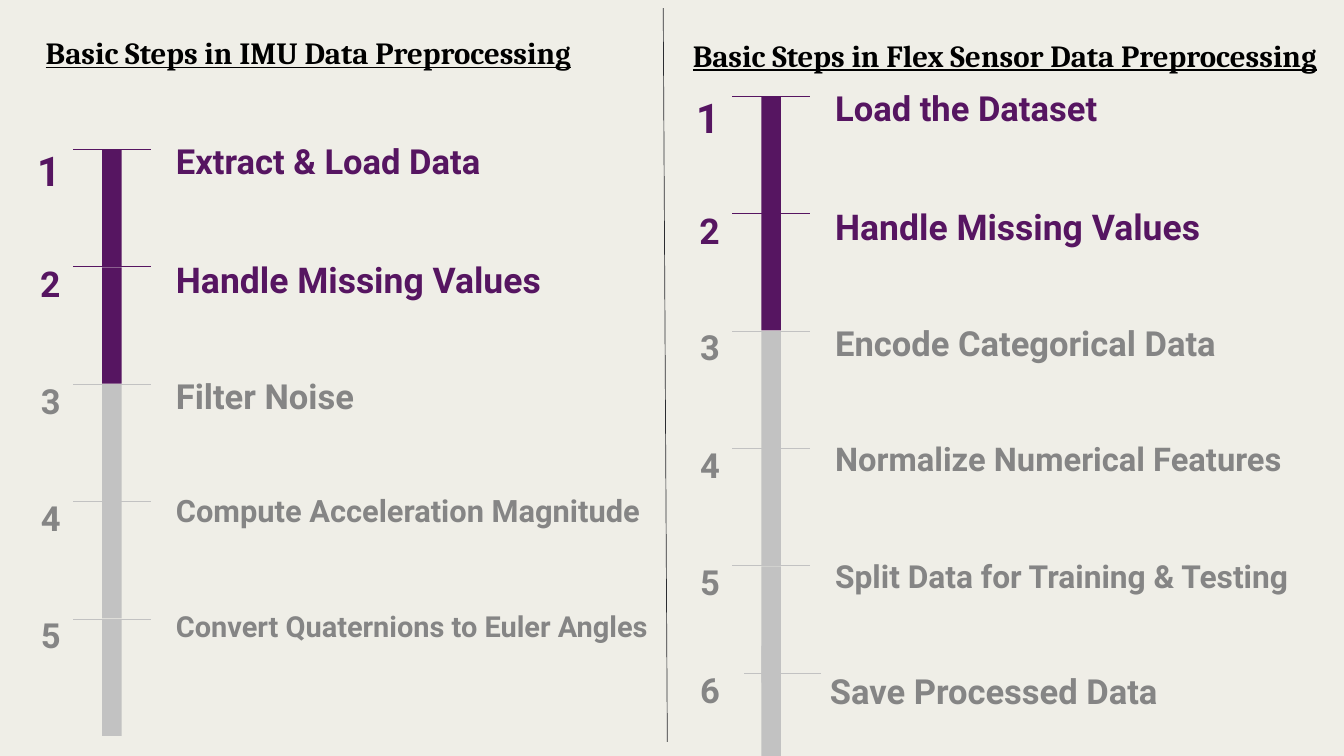
import pptx
import pptx.dml.color
import pptx.enum.shapes
import pptx.enum.text
import pptx.oxml.ns
import pptx.util
from lxml import etree

Pt = pptx.util.Pt
ALIGN = pptx.enum.text.PP_ALIGN

PURPLE, SILVER, GRAY = "561561", "C2C2C2", "858585"
PITCH = 125.8

IMU_STEPS = [
    ("Extract & Load Data", 37, 44, 427.7),
    ("Handle Missing Values", 38, 38, 427.7),
    ("Filter Noise", 37, 37, 427.7),
    ("Compute Acceleration Magnitude", 33, 37, 546.5),
    ("Convert Quaternions to Euler Angles", 31, 37, 536.4),
]
FLEX_STEPS = [
    ("Load the Dataset", 37, 44, 427.7),
    ("Handle Missing Values", 38, 38, 427.7),
    ("Encode Categorical Data", 37, 37, 517.7),
    ("Normalize Numerical Features", 35, 37, 553.7),
    ("Split Data for Training & Testing", 34, 37, 577.4),
]


def rgb(value):
    """Return the colour for a hex string."""
    return pptx.dml.color.RGBColor.from_string(value)


def add_line(s, x1, y1, x2, y2, color):
    """Draw a thin straight line without a shadow."""
    line = s.shapes.add_connector(
        pptx.enum.shapes.MSO_CONNECTOR.STRAIGHT, Pt(x1), Pt(y1), Pt(x2), Pt(y2))
    line.line.color.rgb = rgb(color)
    line.line.width = Pt(0.75)
    etree.SubElement(line._element.spPr, pptx.oxml.ns.qn("a:effectLst"))


def add_text(s, box, text, size, color, font="Roboto", align=ALIGN.LEFT,
             inset=14.4, spacing=1.15, underline=None):
    """Place one bold line of text in a box."""
    tf = s.shapes.add_textbox(*map(Pt, box)).text_frame
    tf.word_wrap = True
    tf.margin_left = tf.margin_right = tf.margin_top = tf.margin_bottom = Pt(inset)
    tf.text = text
    p = tf.paragraphs[0]
    p.alignment = align
    p.line_spacing = spacing
    r = p.runs[0]
    r.font.name = font
    r.font.size = Pt(size)
    r.font.bold = True
    r.font.underline = underline
    r.font.color.rgb = rgb(color)


def add_title(s, box, text):
    """Place the underlined heading of a column."""
    add_text(s, box, text, 33, "000000", "Cambria", ALIGN.CENTER, 7.2, 1.0, True)


def add_step(s, x, y, number, step, bar_dy=0.7, tick_dx=0, label_dx=95.6, label_dy=-30.6):
    """Draw one timeline step whose tick starts at x, y."""
    text, size, number_size, width = step
    bar_color, text_color = (PURPLE, PURPLE) if number <= 2 else (SILVER, GRAY)
    bar = s.shapes.add_shape(
        pptx.enum.shapes.MSO_SHAPE.RECTANGLE, Pt(x + 31), Pt(y + bar_dy), Pt(20.9), Pt(124.6))
    bar.shadow.inherit = False
    bar.fill.solid()
    bar.fill.fore_color.rgb = rgb(bar_color)
    bar.line.fill.background()
    add_line(s, x + tick_dx + 83, y, x + tick_dx, y, bar_color)
    add_text(s, (x + label_dx, y + label_dy, width, 43.2), text, size, text_color)
    add_text(s, (x - 118, y - 26, 118.8, 54.7), str(number), number_size, text_color,
             align=ALIGN.RIGHT)


def add_timeline(s, x, y, steps):
    """Stack evenly spaced steps downward from x, y."""
    for i, step in enumerate(steps):
        add_step(s, x, y + i * PITCH, i + 1, step)


def main():
    """Build and save the slide."""
    prs = pptx.Presentation()
    prs.slide_width, prs.slide_height = Pt(1440), Pt(810)
    s = prs.slides.add_slide(prs.slide_layouts[6])
    s.background.fill.solid()
    s.background.fill.fore_color.rgb = rgb("EFEEE7")
    add_timeline(s, 78.5, 160, IMU_STEPS)
    add_timeline(s, 784.8, 103, FLEX_STEPS)
    add_step(s, 784.8, 721.4, 6, ("Save Processed Data", 37, 37, 427.7),
             bar_dy=-29.5, tick_dx=12, label_dx=90, label_dy=-24.5)
    add_line(s, 710.6, 8.6, 715, 795, "2B2C30")
    add_title(s, (-49.7, 28.8, 760.3, 95), "Basic Steps in IMU Data Preprocessing")
    add_title(s, (710.6, 31.7, 732.2, 95), "Basic Steps in Flex Sensor Data Preprocessing")
    prs.save("out.pptx")


if __name__ == "__main__":
    main()
